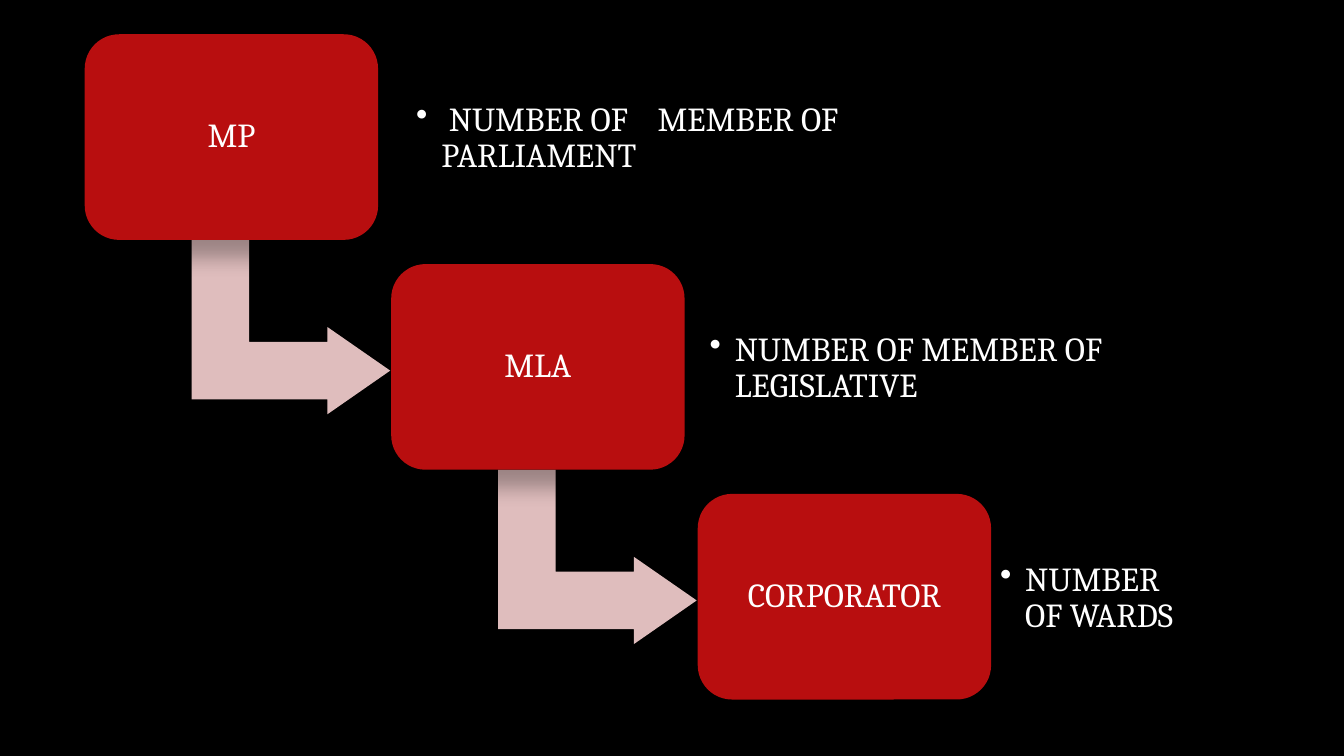
from dataclasses import dataclass

from lxml.etree import SubElement
from pptx import Presentation
from pptx.dml.color import RGBColor
from pptx.enum.shapes import MSO_SHAPE
from pptx.enum.text import MSO_ANCHOR, PP_ALIGN
from pptx.oxml.ns import qn
from pptx.util import Inches, Pt


@dataclass(frozen=True)
class Theme:
    background: RGBColor = RGBColor.from_string("000000")
    box: RGBColor = RGBColor.from_string("B80E0F")
    arrow: RGBColor = RGBColor.from_string("DFBDBD")
    text: RGBColor = RGBColor.from_string("FFFFFF")
    shadow: str = "000000"
    font: str = "Cambria"
    size: int = 24


@dataclass(frozen=True)
class Level:
    label: str
    note: str
    note_left: float
    note_width: float


THEME = Theme()
LEVELS = [
    Level("MP", " NUMBER OF    MEMBER OF PARLIAMENT", 4.03, 4.72),
    Level("MLA", "NUMBER OF MEMBER OF LEGISLATIVE", 6.94, 4.45),
    Level("CORPORATOR", "NUMBER OF WARDS", 9.82, 2.12),
]
LEFT, TOP = 0.84, 0.34
STEP_X, STEP_Y = 3.04, 2.28
BOX_W, BOX_H = 2.91, 2.04
ARROW_DX, ARROW_DY = 1.18, 1.92
ARROW_W, ARROW_H = 1.73, 1.97
NOTE_DY, NOTE_H = 0.21, 1.65
INSET = 0.1


def add_shadow(s) -> None:
    s.shadow.inherit = False
    effects = s._element.spPr.find(qn("a:effectLst"))
    outer = SubElement(effects, qn("a:outerShdw"), blurRad=str(Pt(15)),
                       dist=str(Pt(18)), dir="2700000", rotWithShape="0")
    color = SubElement(outer, qn("a:srgbClr"), val=THEME.shadow)
    SubElement(color, qn("a:alpha"), val="30000")


def add_bullet(p) -> None:
    pPr = p._p.get_or_add_pPr()
    pPr.set("marL", str(Inches(0.25)))
    pPr.set("indent", str(Inches(-0.25)))
    SubElement(pPr, qn("a:buChar"), char="•")


def write(s, text: str, *, align=PP_ALIGN.LEFT, bullet: bool = False) -> None:
    tf = s.text_frame
    tf.word_wrap = True
    tf.vertical_anchor = MSO_ANCHOR.MIDDLE
    tf.margin_left = tf.margin_right = Inches(INSET)
    tf.margin_top = tf.margin_bottom = Inches(INSET)
    p = tf.paragraphs[0]
    p.alignment = align
    p.line_spacing = 0.9
    if bullet:
        add_bullet(p)
    r = p.add_run()
    r.text = text
    r.font.name = THEME.font
    r.font.size = Pt(THEME.size)
    r.font.color.rgb = THEME.text


def add_block(shapes, kind, left: float, top: float, width: float, height: float,
              fill: RGBColor, adjustments: list[float]):
    s = shapes.add_shape(kind, Inches(left), Inches(top), Inches(width), Inches(height))
    for i, value in enumerate(adjustments):
        s.adjustments[i] = value
    s.fill.solid()
    s.fill.fore_color.rgb = fill
    s.line.fill.background()
    add_shadow(s)
    return s


def add_level(shapes, level: Level, index: int, has_next: bool) -> None:
    left, top = LEFT + index * STEP_X, TOP + index * STEP_Y
    if has_next:
        arrow = add_block(shapes, MSO_SHAPE.BENT_UP_ARROW, left + ARROW_DX, top + ARROW_DY,
                          ARROW_W, ARROW_H, THEME.arrow, [0.33, 0.25, 0.36])
        arrow.rotation = 90
    box = add_block(shapes, MSO_SHAPE.ROUNDED_RECTANGLE, left, top,
                    BOX_W, BOX_H, THEME.box, [0.167])
    write(box, level.label, align=PP_ALIGN.CENTER)
    note = shapes.add_textbox(Inches(level.note_left), Inches(top + NOTE_DY),
                              Inches(level.note_width), Inches(NOTE_H))
    write(note, level.note, bullet=True)


def main() -> None:
    prs = Presentation()
    prs.slide_width, prs.slide_height = Inches(13.33), Inches(7.5)
    slide = prs.slides.add_slide(prs.slide_layouts[6])
    slide.background.fill.solid()
    slide.background.fill.fore_color.rgb = THEME.background
    for i, level in enumerate(LEVELS):
        add_level(slide.shapes, level, i, has_next=i < len(LEVELS) - 1)
    prs.save("out.pptx")


if __name__ == "__main__":
    main()
